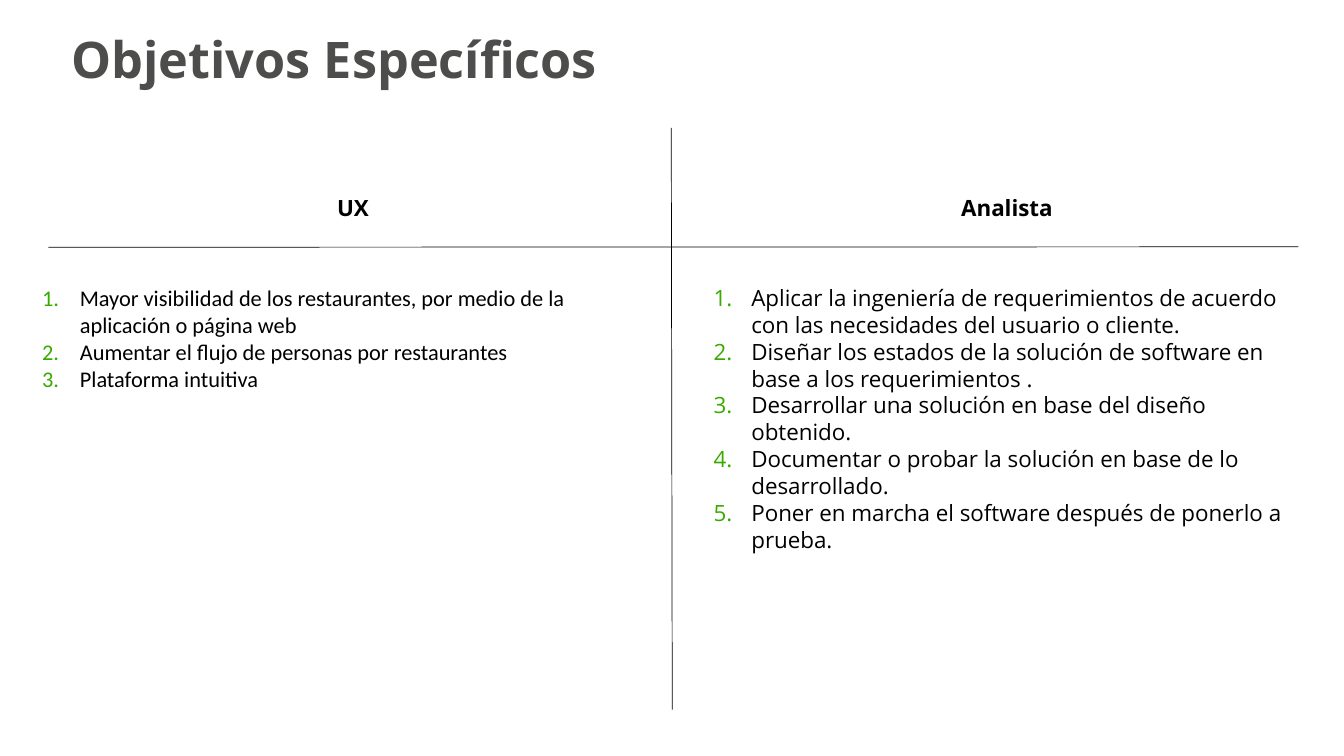
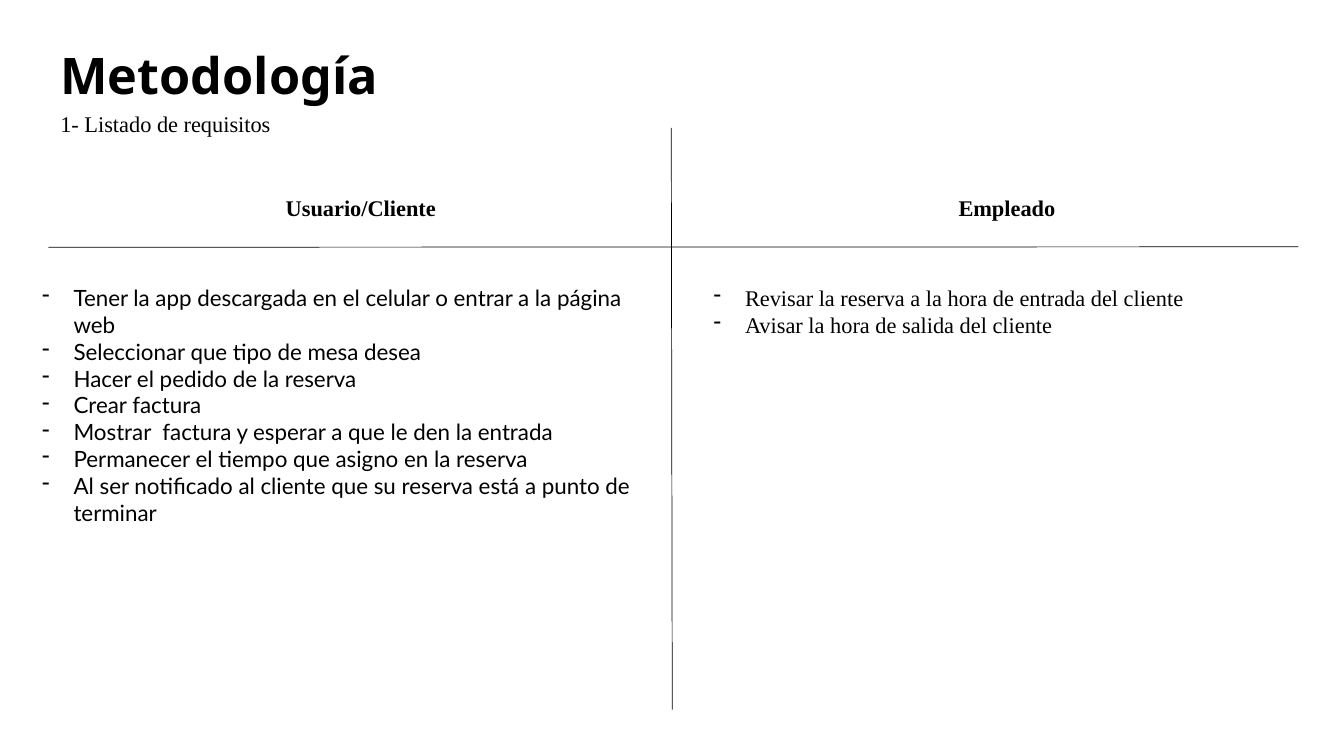
from dataclasses import dataclass

from lxml import etree
from pptx import Presentation
from pptx import util as u
from pptx.dml.color import RGBColor
from pptx.enum import shapes, text
from pptx.oxml import ns

BLACK = RGBColor(0x00, 0x00, 0x00)
GRAY = RGBColor(0x4D, 0x4D, 0x4C)
GREEN = RGBColor(0x38, 0xAA, 0x00)

TITLE_FONT = "Noto Sans"
TITLE_SIZE = 36
BODY_SIZE = 16
HEADING_TOP = 135.4
LIST_TOP = 199.4
LIST_WIDTH = 435
LIST_LEFTS = (23, 502.6)
DIVIDERS = ((479.5, 91.4, 480.2, 506.9), (34.6, 176.6, 927.4, 176.3))


@dataclass(frozen=True)
class Bullet:
    tag: str
    attribute: str
    value: str
    indent: float
    color: RGBColor | None = None


NUMBER = Bullet("a:buAutoNum", "type", "arabicPeriod", 27, GREEN)
DASH = Bullet("a:buChar", "char", "-", 22.5)


@dataclass(frozen=True)
class Column:
    heading: str
    heading_left: float
    heading_width: float
    heading_font: str
    list_font: str
    list_height: float
    items: tuple[str, ...]


@dataclass(frozen=True)
class Comparison:
    title: str
    title_left: float
    title_top: float
    title_color: RGBColor
    bullet: Bullet
    columns: tuple[Column, Column]
    subtitle: str = ""


COMPARISONS = (
    Comparison(
        "Objetivos Específicos", 44, 21.6, GRAY, NUMBER,
        (
            Column("UX", 34.6, 435, "Open Sans", "Calibri", 85, (
                "Mayor visibilidad de los restaurantes, por medio de la aplicación o página web",
                "Aumentar el flujo de personas por restaurantes",
                "Plataforma intuitiva",
            )),
            Column("Analista", 501.8, 435, "Open Sans", "Open Sans", 143.3, (
                "Aplicar la ingeniería de requerimientos de acuerdo con las necesidades del usuario o cliente.",
                "Diseñar los estados de la solución de software en base a los requerimientos .",
                "Desarrollar una solución en base del diseño obtenido.",
                "Documentar o probar la solución en base de lo desarrollado.",
                "Poner en marcha el software después de ponerlo a prueba.",
            )),
        ),
    ),
    Comparison(
        "Metodología", 36, 33.1, BLACK, DASH,
        (
            Column("Usuario/Cliente", 36, 443.5, "Times New Roman", "Lato", 220.3, (
                "Tener la app descargada en el celular o entrar a la página web",
                "Seleccionar que tipo de mesa desea",
                "Hacer el pedido de la reserva",
                "Crear factura",
                "Mostrar  factura y esperar a que le den la entrada",
                "Permanecer el tiempo que asigno en la reserva",
                "Al ser notificado al cliente que su reserva está a punto de terminar",
            )),
            Column("Empleado", 497.5, 443.5, "Times New Roman", "Times New Roman", 46, (
                "Revisar la reserva a la hora de entrada del cliente",
                "Avisar la hora de salida del cliente",
            )),
        ),
        "1- Listado de requisitos",
    ),
)


def add_bullet(para, bullet: Bullet) -> None:
    properties = para._p.get_or_add_pPr()
    properties.set("marL", str(u.Pt(bullet.indent)))
    properties.set("indent", str(-u.Pt(bullet.indent)))
    if bullet.color is not None:
        color = etree.SubElement(properties, ns.qn("a:buClr"))
        etree.SubElement(color, ns.qn("a:srgbClr")).set("val", str(bullet.color))
    etree.SubElement(properties, ns.qn(bullet.tag)).set(bullet.attribute, bullet.value)


def add_text(page, left: float, top: float, width: float, height: float,
             lines: tuple[str, ...], font: str, size: float = BODY_SIZE,
             color: RGBColor = BLACK, bold: bool = False, centered: bool = False,
             bullet: Bullet | None = None, spacing: float | None = None) -> None:
    box = page.shapes.add_textbox(u.Pt(left), u.Pt(top), u.Pt(width), u.Pt(height))
    frame = box.text_frame
    frame.word_wrap = True
    frame.text = "\n".join(lines)
    for para in frame.paragraphs:
        if spacing is not None:
            para.line_spacing = spacing
        if centered:
            para.alignment = text.PP_ALIGN.CENTER
        if bullet is not None:
            add_bullet(para, bullet)
        para.font.name = font
        para.font.size = u.Pt(size)
        para.font.bold = bold
        para.font.color.rgb = color


def add_divider(page, start_x: float, start_y: float, end_x: float, end_y: float) -> None:
    divider = page.shapes.add_connector(
        shapes.MSO_CONNECTOR.STRAIGHT,
        u.Pt(start_x), u.Pt(start_y), u.Pt(end_x), u.Pt(end_y))
    divider.line.color.rgb = BLACK
    divider.line.width = u.Pt(0.5)
    etree.SubElement(divider._element.spPr, ns.qn("a:effectLst"))


def add_comparison(deck, comparison: Comparison) -> None:
    page = deck.slides.add_slide(deck.slide_layouts[6])
    add_text(page, comparison.title_left, comparison.title_top, 772.5, 58.3,
             (comparison.title,), TITLE_FONT, TITLE_SIZE, comparison.title_color,
             bold=True, spacing=0.9)
    if comparison.subtitle:
        add_text(page, comparison.title_left, 74.9, 169.2, 46,
                 (comparison.subtitle,), "Times New Roman")
    for divider in DIVIDERS:
        add_divider(page, *divider)
    for left, column in zip(LIST_LEFTS, comparison.columns):
        add_text(page, column.heading_left, HEADING_TOP, column.heading_width, 26.6,
                 (column.heading,), column.heading_font, bold=True, centered=True)
        add_text(page, left, LIST_TOP, LIST_WIDTH, column.list_height,
                 column.items, column.list_font, bullet=comparison.bullet)


def main() -> None:
    deck = Presentation()
    deck.slide_width = u.Pt(960)
    deck.slide_height = u.Pt(540)
    for comparison in COMPARISONS:
        add_comparison(deck, comparison)
    deck.save("out.pptx")


if __name__ == "__main__":
    main()
